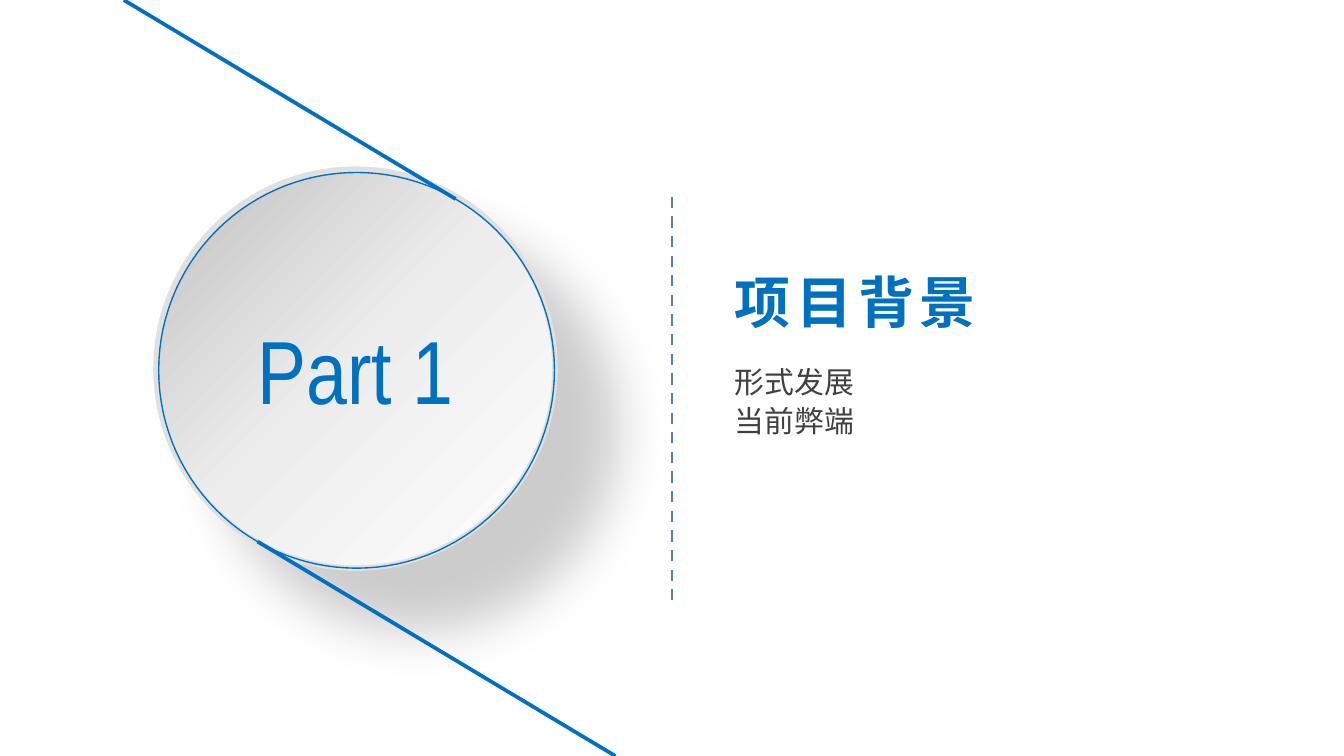
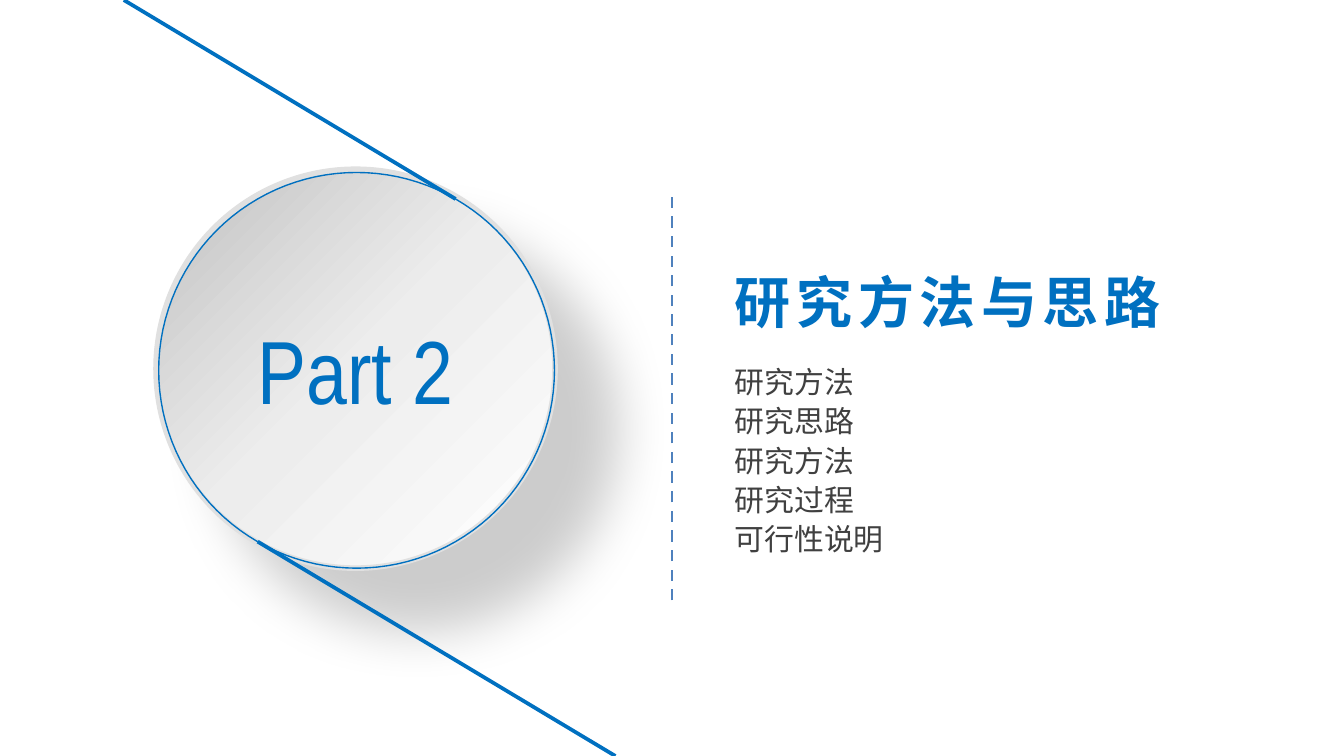
from math import cos, radians, sin

from lxml import etree
from pptx import Presentation
from pptx.dml.color import RGBColor
from pptx.enum.dml import MSO_LINE
from pptx.enum.shapes import MSO_CONNECTOR, MSO_SHAPE
from pptx.enum.text import MSO_ANCHOR, MSO_AUTO_SIZE, PP_ALIGN
from pptx.oxml import parse_xml
from pptx.oxml.ns import nsdecls, qn
from pptx.util import Cm, Pt

PARTS = [
    ("Part 1", "项目背景", ["形式发展", "当前弊端"]),
    ("Part 2", "研究方法与思路",
     ["研究方法", "研究思路", "研究方法", "研究过程", "可行性说明"]),
]

COLORS = {"blue": "0070C0", "dash": "4F81BD", "text": "404040", "rim": "E0E0E0"}
STOPS = [(0, "C0C0C0"), (49, "EDEDED"), (100, "FFFFFF")]
LATIN, CJK = "Arial Narrow", "Noto Sans CJK SC"
STRAIGHT, OVAL = MSO_CONNECTOR.STRAIGHT, MSO_SHAPE.OVAL
LEFT, CENTER = PP_ALIGN.LEFT, PP_ALIGN.CENTER
TOP, MIDDLE = MSO_ANCHOR.TOP, MSO_ANCHOR.MIDDLE
FIT = MSO_AUTO_SIZE.SHAPE_TO_FIT_TEXT

# Lengths in centimetres
WIDTH, HEIGHT = 25.4, 14.29
DISC = (2.95, 3.2, 7.54)
RING = (6.74, 7.0, 3.74)
TURN = -60
RULE_X, RULE_TOP, RULE_END = 12.7, 3.56, 11.35
ITEM_X, ITEM_Y, ITEM_W, ITEM_H, PITCH = 13.89, 6.88, 5.21, 0.69, 0.74


def rgb(name):
    return RGBColor.from_string(COLORS[name])


def style(para, face, size, color, align=LEFT, bold=False, gap=None):
    """Format a paragraph; gap is the letter spacing in points."""
    para.alignment = align
    font = para.font
    font.name, font.size, font.bold = face, Pt(size), bold
    font.color.rgb = rgb(color)
    props = para._p.get_or_add_pPr().get_or_add_defRPr()
    etree.SubElement(props, qn("a:ea")).set("typeface", face)
    if gap:
        props.set("spc", str(gap * 100))


def inset(frame, side, end):
    frame.margin_left = frame.margin_right = Cm(side)
    frame.margin_top = frame.margin_bottom = Cm(end)


def ring_at(angle):
    x, y, radius = RING
    turn = radians(angle)
    return x + radius * cos(turn), y + radius * sin(turn)


def add_line(slide, start, end, color, width=0):
    line = slide.shapes.add_connector(STRAIGHT, *map(Cm, start + end))
    line.line.color.rgb = rgb(color)
    line.line.width = Pt(width)
    etree.SubElement(line._element.spPr, qn("a:effectLst"))
    return line


def add_disc(slide, label):
    x, y, size = map(Cm, DISC)
    disc = slide.shapes.add_shape(OVAL, x, y, size, size)
    disc.line.color.rgb = rgb("rim")
    disc.line.width = Pt(3)
    disc.fill.gradient()
    disc.fill.gradient_angle = 315
    stops = disc._element.spPr.find(qn("a:gradFill")).find(qn("a:gsLst"))
    stops.clear()
    for place, color in STOPS:
        stop = etree.SubElement(stops, qn("a:gs"), pos=str(place * 1000))
        etree.SubElement(stop, qn("a:srgbClr"), val=color)
    disc._element.spPr.append(parse_xml(
        f'<a:effectLst {nsdecls("a")}><a:outerShdw blurRad="{Pt(29)}" '
        f'dist="{Pt(46)}" dir="2700000" algn="tl" rotWithShape="0">'
        '<a:srgbClr val="000000"><a:alpha val="20000"/></a:srgbClr>'
        '</a:outerShdw></a:effectLst>'))
    frame = disc.text_frame
    frame.text = label
    frame.vertical_anchor = MIDDLE
    inset(frame, 0, 0.1)
    style(frame.paragraphs[0], LATIN, 48, "blue", CENTER)


def add_arc(slide, first):
    """Draw half of the ring, clockwise from the angle first."""
    dots = [tuple(map(Cm, ring_at(first + step))) for step in range(0, 181, 3)]
    pen = slide.shapes.build_freeform(*dots[0])
    pen.add_line_segments(dots[1:], close=False)
    arc = pen.convert_to_shape()
    arc.shadow.inherit = False
    arc.fill.background()
    arc.line.color.rgb = rgb("blue")
    arc.line.width = Pt(0)


def set_title(slide, words):
    title = slide.shapes.title
    title.left, title.top = Cm(13.64), Cm(4.93)
    title.width, title.height = Cm(0.5 + 1.18 * len(words)), Cm(1.55)
    frame = title.text_frame
    frame.text = words
    frame.word_wrap = False
    frame.auto_size = FIT
    frame.vertical_anchor = TOP
    inset(frame, 0.25, 0.13)
    style(frame.paragraphs[0], CJK, 30, "blue", bold=True, gap=3)


def add_items(slide, items):
    for row, words in enumerate(items):
        box = slide.shapes.add_textbox(
            Cm(ITEM_X), Cm(ITEM_Y + row * PITCH), Cm(ITEM_W), Cm(ITEM_H))
        frame = box.text_frame
        frame.text = words
        frame.word_wrap = True
        frame.auto_size = FIT
        inset(frame, 0, 0)
        style(frame.paragraphs[0], CJK, 16, "text")


def add_part(deck, label, title, items):
    slide = deck.slides.add_slide(deck.slide_layouts[5])
    add_disc(slide, label)
    add_arc(slide, TURN)
    add_arc(slide, TURN + 180)
    add_line(slide, ring_at(TURN), (2.34, 0), "blue")
    add_line(slide, (11.63, HEIGHT), ring_at(TURN + 180), "blue")
    set_title(slide, title)
    rule = add_line(slide, (RULE_X, RULE_END), (RULE_X, RULE_TOP), "dash", 1.5)
    rule.line.dash_style = MSO_LINE.DASH
    add_items(slide, items)


def main():
    deck = Presentation()
    deck.slide_width, deck.slide_height = Cm(WIDTH), Cm(HEIGHT)
    for part in PARTS:
        add_part(deck, *part)
    deck.save("out.pptx")


if __name__ == "__main__":
    main()
